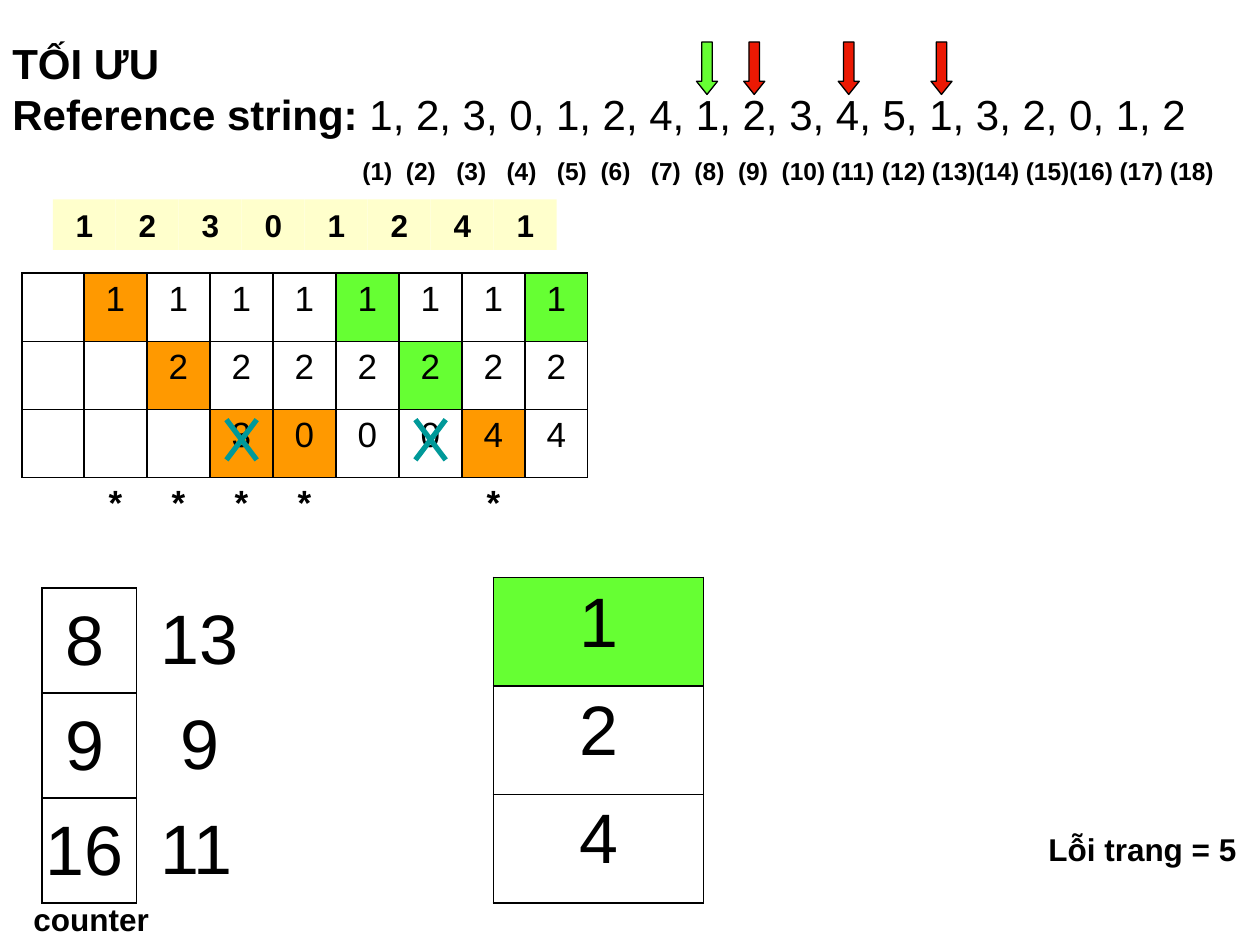
from pptx import Presentation
from pptx.dml.color import RGBColor
from pptx.enum.shapes import MSO_CONNECTOR as Link, MSO_SHAPE as Geo
from pptx.enum.text import MSO_ANCHOR as Anchor, MSO_AUTO_SIZE as Auto, PP_ALIGN as Align
from pptx.oxml.ns import qn
from pptx.util import Pt
from lxml.etree import SubElement as sub

BLACK, GREEN, ORANGE, RED = "000000", "66FF33", "FF9900", "EB1903"
CREAM, TEAL = "FFFFCC", "009999"
PLAIN = "{2D5ABB26-0587-4C30-8999-92F81FD0307C}"  # no style, no grid
THICK, THIN = 1.08, 0.45

# Frames after each request, the frame in use, and whether the page faulted
STEPS = [("1", 0, True), ("12", 1, True), ("123", 2, True), ("120", 2, True),
         ("120", 0, False), ("120", 1, False), ("124", 2, True), ("124", 0, False)]
PITCH = 36

# Position labels under the reference string, with their tab stops
LABELS = ([f"({n})" for n in range(1, 13)]
          + ["(13)(14)", "(15)(16)", "(17)", "(18)"])
STOPS = [200, 224.9, 253.7, 282.4, 311.2, 336.1, 364.9, 389.8, 414.7, 439.6,
         468.3, 496.9, 525.5, 579.1, 632.7, 661.5]


def color(code):
    return RGBColor.from_string(code)


def write(par, text, size=18, bold=False, align=None, before=None):
    run = par.add_run()
    run.text = text
    font = run.font
    font.name, font.size, font.bold = "Arial", Pt(size), bold
    font.color.rgb = color(BLACK)
    if align is not None:
        par.alignment = align
    if before is not None:
        par.space_before = Pt(before)


def add_box(slide, x, y, w, h, wrap=False):
    frame = slide.shapes.add_textbox(Pt(x), Pt(y), Pt(w), Pt(h)).text_frame
    frame.word_wrap = wrap
    frame.auto_size = Auto.SHAPE_TO_FIT_TEXT
    return frame


def add_text(slide, text, x, y, w, h, **style):
    write(add_box(slide, x, y, w, h).paragraphs[0], text, **style)


def add_shape(slide, kind, x, y, w, h, fill, line=None):
    shape = slide.shapes.add_shape(kind, Pt(x), Pt(y), Pt(w), Pt(h))
    shape.shadow.inherit = False
    shape.fill.solid()
    shape.fill.fore_color.rgb = color(fill)
    if line:
        shape.line.color.rgb = color(BLACK)
        shape.line.width = Pt(line)
    else:
        shape.line.fill.background()
    return shape


def set_edges(cell, left, right, top, bottom):
    props = cell._tc.get_or_add_tcPr()
    for side, width in zip("LRTB", (left, right, top, bottom)):
        edge = sub(props, qn(f"a:ln{side}"), w=str(int(Pt(width))))
        if width:
            fill = sub(edge, qn("a:solidFill"))
            sub(fill, qn("a:srgbClr"), val=BLACK)
        else:
            sub(edge, qn("a:noFill"))


def add_column(slide, x, y, w, row, texts, edges, fills=None, size=20, before=5):
    """Add a one-column table; fills maps a row number to its colour."""
    count = len(texts)
    shape = slide.shapes.add_table(count, 1, Pt(x), Pt(y), Pt(w), Pt(row * count))
    table = shape.table
    table.first_row = table.horz_banding = False
    table._tbl.tblPr.find(qn("a:tableStyleId")).text = PLAIN
    for i, text in enumerate(texts):
        table.rows[i].height = Pt(row)
        cell = table.cell(i, 0)
        set_edges(cell, *edges[i])
        if fills and i in fills:
            cell.fill.solid()
            cell.fill.fore_color.rgb = color(fills[i])
        else:
            cell.fill.background()
        if text:
            write(cell.text_frame.paragraphs[0], text, size=size,
                  bold=text == "*", align=Align.CENTER, before=before)


def add_frames(slide, x, texts, fills=None):
    edges = [(THICK, THICK, THICK, THIN), (THICK, THICK, THIN, THIN),
             (THICK, THICK, THIN, THICK), (0, 0, THICK, 0)]
    add_column(slide, x, 156.2, 35.5, 38.9, texts, edges, fills)


def add_cross(slide, x, y, w, h):
    group = slide.shapes.add_group_shape()
    for start, end in ((x + w, x), (x, x + w)):
        line = group.shapes.add_connector(Link.STRAIGHT, Pt(start), Pt(y),
                                          Pt(end), Pt(y + h))
        line.line.color.rgb = color(TEAL)
        line.line.width = Pt(3)
        sub(line._element.spPr, qn("a:effectLst"))


def add_title(slide):
    frame = add_box(slide, 0, 18, 720, 93.6, wrap=True)
    write(frame.paragraphs[0], "TỐI ƯU", size=24, bold=True)
    par = frame.add_paragraph()
    write(par, "Reference string:", size=24, bold=True)
    write(par, " 1, 2, 3, 0, 1, 2, 4, 1, 2, 3, 4, 5, 1, 3, 2, 0, 1, 2", size=24)
    par = frame.add_paragraph()
    tabs = sub(par._p.get_or_add_pPr(), qn("a:tabLst"))
    for stop in STOPS:
        sub(tabs, qn("a:tab"), pos=str(int(Pt(stop))), algn="l")
    write(par, "\t", size=24)
    write(par, "\t".join(LABELS), size=14, bold=True)


def add_steps(slide):
    add_frames(slide, 12.7, [""] * 4)
    for i, (pages, used, fault) in enumerate(STEPS):
        # Requested page
        tile = add_shape(slide, Geo.RECTANGLE, 30.2 + PITCH * i, 114, PITCH, 28.8, CREAM)
        frame = tile.text_frame
        frame.vertical_anchor = Anchor.TOP
        frame.auto_size = Auto.SHAPE_TO_FIT_TEXT
        write(frame.paragraphs[0], pages[used], bold=True,
              align=Align.CENTER, before=11.2)
        # Frame contents, with a star for a fault
        texts = [page.strip() for page in pages.ljust(3)] + ["*" if fault else ""]
        add_frames(slide, 48.2 + PITCH * i, texts, {used: ORANGE if fault else GREEN})
    # Pages thrown out
    for i in (2, 5):
        add_cross(slide, 57.4 + PITCH * i, 239.8, 17.3, 23)


def add_state(slide):
    # Counters and the next use of each page
    add_column(slide, 24, 336, 54, 60, [""] * 3, [(THICK,) * 4] * 3)
    add_text(slide, "counter", 12, 511, 82, 28.8, bold=True)
    for i, (old, new) in enumerate((("8", "13"), ("9", "9"), ("16", "11"))):
        for text, mid, top in ((old, 48.8, 337), (new, 114.5, 336)):
            wide = 37 if len(text) == 1 else 60
            add_text(slide, text, mid - wide / 2, top + 60 * i, wide, 55.4, size=40)
    # Pages now in memory
    add_column(slide, 282, 330, 120, 62, ["1", "2", "4"], [(THICK,) * 4] * 3,
               {0: GREEN}, size=40, before=10)
    add_text(slide, "Lỗi trang = 5", 592, 471, 123, 28.8, bold=True)


def main():
    deck = Presentation()
    deck.slide_width, deck.slide_height = Pt(720), Pt(540)
    slide = deck.slides.add_slide(deck.slide_layouts[6])
    add_title(slide)
    add_steps(slide)
    # Current request and next uses
    for x, fill in ((398, GREEN), (425, RED), (479, RED), (532, RED)):
        arrow = add_shape(slide, Geo.DOWN_ARROW, x, 24, 12, 30, fill, line=0.75)
        arrow.adjustments[0], arrow.adjustments[1] = 0.5, 0.625
    add_state(slide)
    deck.save("out.pptx")


if __name__ == "__main__":
    main()
